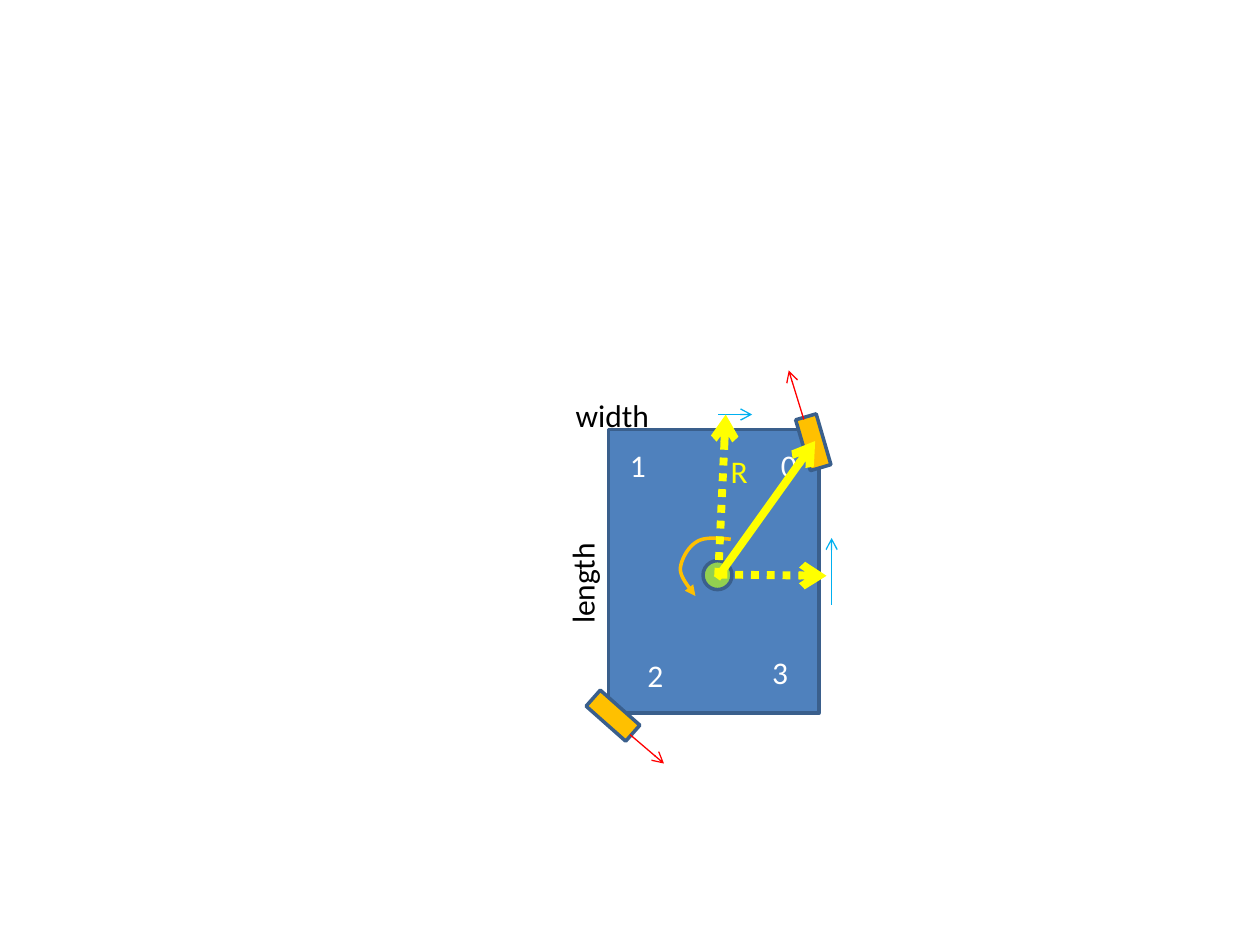
import pptx
import pptx.dml.color
import pptx.enum.dml
import pptx.enum.shapes
import pptx.enum.text
import pptx.oxml
import pptx.oxml.ns
import pptx.util

RGB = pptx.dml.color.RGBColor.from_string
Pt = pptx.util.Pt
Shapes = pptx.enum.shapes.MSO_SHAPE
NS = pptx.oxml.ns.nsdecls("a")
DOTTED = pptx.enum.dml.MSO_LINE.ROUND_DOT

THEME = {
    "body": RGB("4F81BD"), "wheel": RGB("FFC000"), "center": RGB("92D050"),
    "white": RGB("FFFFFF"), "black": RGB("000000"), "radius": RGB("FFFF00"),
    "font": {"name": "Calibri", "size": Pt(18)},
    "outline": {"color": RGB("3A5F8C"), "width": Pt(2)},
    "velocity": {"color": RGB("FF0000"), "width": Pt(0.75), "tip": "arrow"},
    "component": {"color": RGB("00B0F0"), "width": Pt(0.75), "tip": "arrow"},
    "rotation": {"color": RGB("FFC000"), "width": Pt(2), "tip": "triangle"},
    "vector": {"color": RGB("FFFF00"), "width": Pt(4.5), "tip": "arrow"},
}
THEME["projection"] = THEME["vector"] | {"dash_style": DOTTED}

deck = pptx.Presentation()
deck.slide_width, deck.slide_height = pptx.util.Inches(10), pptx.util.Inches(7.5)
slide = deck.slides.add_slide(deck.slide_layouts[6])

# The slide is a grid of 100 columns by 75 rows.
COL, ROW = deck.slide_width / 100, deck.slide_height / 75


def cells(*lengths):
    """Turn alternating columns and rows into slide lengths."""
    return [round(n * (ROW if i % 2 else COL)) for i, n in enumerate(lengths)]


def stroke(shape, style):
    """Apply a theme line style, with its arrowhead, and remove the shadow."""
    shape.line.color.rgb = style["color"]
    for name in ("width", "dash_style"):
        if name in style:
            setattr(shape.line, name, style[name])
    if "tip" in style:
        shape.get_or_add_ln().append(
            pptx.oxml.parse_xml(f'<a:tailEnd {NS} type="{style["tip"]}"/>'))
    shape.element.spPr.append(pptx.oxml.parse_xml(f"<a:effectLst {NS}/>"))


body = slide.shapes.add_shape(Shapes.RECTANGLE, *cells(48.3, 34.1, 16.7, 22.5))
stroke(body, THEME["outline"])
body.fill.solid()
body.fill.fore_color.rgb = THEME["body"]

# Wheel numbers, radius name and dimensions: text, place, width, colour, wrap, turn
labels = [
    ("0", (61, 34.9), 3.3, "white", False, 0),
    ("1", (49, 34.9), 3.2, "white", True, 0),
    ("2", (50.4, 51.6), 3.3, "white", False, 0),
    ("3", (60.3, 51.3), 3.3, "white", False, 0),
    ("R", (57, 35.4), 3.2, "radius", True, 0),
    ("width", (44.7, 30.9), 13, "black", True, 0),
    ("length", (39.7, 42), 13, "black", True, 270),
]
for text, place, width, color, wrap, turn in labels:
    label = slide.shapes.add_textbox(*cells(*place, width, 4))
    label.rotation = turn
    label.text_frame.word_wrap = wrap
    label.text_frame.auto_size = pptx.enum.text.MSO_AUTO_SIZE.SHAPE_TO_FIT_TEXT
    run = label.text_frame.paragraphs[0].add_run()
    run.text = text
    for name, value in THEME["font"].items():
        setattr(run.font, name, value)
    run.font.color.rgb = THEME[color]

# Each steered wheel is grouped with its velocity: place, turn, velocity ends
wheels = [
    ((63.7, 33), 343.8, (63.8, 33.3, 62.6, 29.4)),
    ((47.8, 54.7), 311.5, (50, 58.3, 52.7, 60.6)),
]
for place, turn, ends in wheels:
    group = slide.shapes.add_group_shape()
    wheel = group.shapes.add_shape(Shapes.RECTANGLE, *cells(*place, 1.7, 4.2))
    wheel.rotation = turn
    stroke(wheel, THEME["outline"])
    wheel.fill.solid()
    wheel.fill.fore_color.rgb = THEME["wheel"]
    velocity = group.shapes.add_connector(
        pptx.enum.shapes.MSO_CONNECTOR.STRAIGHT, *cells(*ends))
    stroke(velocity, THEME["velocity"])

center = slide.shapes.add_shape(Shapes.OVAL, *cells(55.8, 44.5, 2.3, 2.3))
stroke(center, THEME["outline"])
center.fill.solid()
center.fill.fore_color.rgb = THEME["center"]

# Rotation arrow: Bezier pieces that share their end points, sampled in steps
knots = [(58, 42.8), (57, 42.7), (55.9, 42.6), (55.3, 43), (54.6, 43.4),
         (54, 44.5), (54, 45.2), (54, 45.9), (55, 47), (55.2, 47.3)]
STEPS = 12
curve = []
for first in range(0, len(knots) - 1, 3):
    for step in range(1, STEPS + 1):
        t = step / STEPS
        weights = ((1 - t) ** 3, 3 * t * (1 - t) ** 2, 3 * t ** 2 * (1 - t), t ** 3)
        curve.append(cells(*(
            sum(w * knot[axis] for w, knot in zip(weights, knots[first:first + 4]))
            for axis in (0, 1))))
builder = slide.shapes.build_freeform(*cells(*knots[0]))
builder.add_line_segments(curve, close=False)
rotation = builder.convert_to_shape()
stroke(rotation, THEME["rotation"])
rotation.fill.background()

arrows = [
    ("vector", (56.9, 45.9, 64.7, 35)),
    ("component", (66, 48, 66, 42.7)),
    ("component", (57, 32.9, 59.7, 32.9)),
    ("projection", (57, 45.7, 57.6, 32.9)),
    ("projection", (57.1, 45.6, 65.6, 45.7)),
]
for style, ends in arrows:
    arrow = slide.shapes.add_connector(
        pptx.enum.shapes.MSO_CONNECTOR.STRAIGHT, *cells(*ends))
    stroke(arrow, THEME[style])

deck.save("out.pptx")
